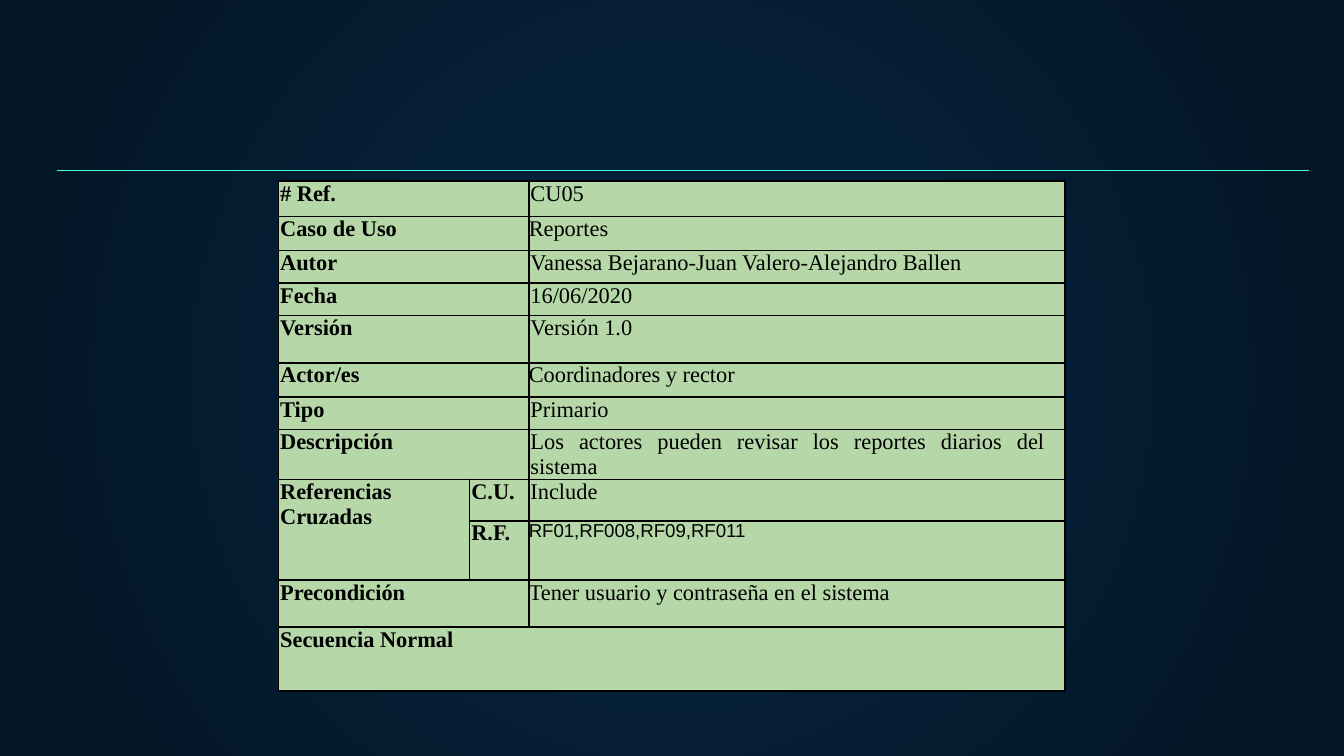
from lxml.etree import SubElement
from pptx import Presentation
from pptx.dml.color import RGBColor
from pptx.enum.shapes import MSO_CONNECTOR
from pptx.enum.text import PP_ALIGN
from pptx.oxml.ns import qn
from pptx.util import Pt

BLACK, GREEN, MINT = "000000", "B6D7A8", "48FFD5"
SERIF, SANS = "Times New Roman", "Arial"
INDENT = 0.9

COLUMN_WIDTHS = [102.4, 31.7, 287.3]
ROW_HEIGHTS = [18.8, 18.4, 17.4, 17.4, 25.4, 18.4, 17.4, 26.8, 22, 31.8, 25.2, 34.3]

# Row number, label, value and left indent of the value
FIELDS = [
    (0, "# Ref.", "CU05", INDENT),
    (1, "Caso de Uso", "Reportes", 0),
    (2, "Autor", "Vanessa Bejarano-Juan Valero-Alejandro Ballen", INDENT),
    (3, "Fecha", "16/06/2020", INDENT),
    (4, "Versión", "Versión 1.0", INDENT),
    (5, "Actor/es", "Coordinadores y rector", 0),
    (6, "Tipo", "Primario", INDENT),
    (7, "Descripción",
     "Los actores pueden revisar los reportes diarios del sistema", INDENT),
    (10, "Precondición", "Tener usuario y contraseña en el sistema", 0),
]


def color(value):
    return RGBColor.from_string(value)


def paint_background(page):
    fill = page.background.fill
    fill.gradient()
    for stop, value in zip(fill.gradient_stops, ("052643", "041523")):
        stop.color.rgb = color(value)
    # Turn the linear gradient into a circular one around the centre
    gradient = page.background._cSld.find(".//" + qn("a:gradFill"))
    gradient.remove(gradient.find(qn("a:lin")))
    circle = SubElement(gradient, qn("a:path"), path="circle")
    SubElement(circle, qn("a:fillToRect"), l="50000", t="50000", r="50000", b="50000")


def add_rule(page, left, top, width):
    rule = page.shapes.add_connector(
        MSO_CONNECTOR.STRAIGHT, Pt(left), Pt(top), Pt(left + width), Pt(top))
    rule.line.color.rgb = color(MINT)
    rule.line.width = Pt(0.75)
    SubElement(rule._element.spPr, qn("a:effectLst"))


def style_cell(cell):
    cell.margin_left = cell.margin_right = cell.margin_top = cell.margin_bottom = 0
    properties = cell._tc.get_or_add_tcPr()
    for side in ("a:lnL", "a:lnR", "a:lnT", "a:lnB"):
        border = SubElement(properties, qn(side), w=str(Pt(1)))
        SubElement(SubElement(border, qn("a:solidFill")), qn("a:srgbClr"), val=BLACK)
    cell.fill.solid()
    cell.fill.fore_color.rgb = color(GREEN)


def write(cell, *lines, bold=False, indent=INDENT, size=12, font=SERIF):
    for number, line in enumerate(lines):
        frame = cell.text_frame
        para = frame.add_paragraph() if number else frame.paragraphs[0]
        para._p.get_or_add_pPr().set("marL", str(Pt(indent)))
        span = para.add_run()
        span.text = line
        span.font.name = font
        span.font.size = Pt(size)
        span.font.bold = bold
        span.font.color.rgb = color(BLACK)


def add_use_case(page, left, top):
    table = page.shapes.add_table(
        len(ROW_HEIGHTS), len(COLUMN_WIDTHS), Pt(left), Pt(top),
        Pt(sum(COLUMN_WIDTHS)), Pt(sum(ROW_HEIGHTS))).table
    table.first_row = table.horz_banding = False
    for column, width in zip(table.columns, COLUMN_WIDTHS):
        column.width = Pt(width)
    for row, height in zip(table.rows, ROW_HEIGHTS):
        row.height = Pt(height)
    for cell in table.iter_cells():
        style_cell(cell)

    # Plain fields: the label spans two columns
    for row, label, value, indent in FIELDS:
        table.cell(row, 0).merge(table.cell(row, 1))
        write(table.cell(row, 0), label, bold=True)
        write(table.cell(row, 2), value, indent=indent)

    # The description is justified and stops short of the edge
    description = table.cell(7, 2).text_frame.paragraphs[0]
    description.alignment = PP_ALIGN.JUSTIFY
    description._p.get_or_add_pPr().set("marR", str(Pt(10.6)))

    # Cross references
    table.cell(8, 0).merge(table.cell(9, 0))
    write(table.cell(8, 0), "Referencias", "Cruzadas", bold=True)
    write(table.cell(8, 1), "C.U.", bold=True)
    write(table.cell(8, 2), "Include")
    write(table.cell(9, 1), "R.F.", bold=True)
    write(table.cell(9, 2), "RF01,RF008,RF09,RF011", indent=0, size=10, font=SANS)

    # Closing row over the full width
    table.cell(11, 0).merge(table.cell(11, 2))
    write(table.cell(11, 0), "Secuencia Normal", bold=True)


def main():
    deck = Presentation()
    deck.slide_width, deck.slide_height = Pt(720), Pt(405)
    page = deck.slides.add_slide(deck.slide_layouts[6])
    paint_background(page)
    add_use_case(page, 149.2, 97.1)
    add_rule(page, 30.7, 91.2, 670.8)
    deck.save("out.pptx")


if __name__ == "__main__":
    main()
